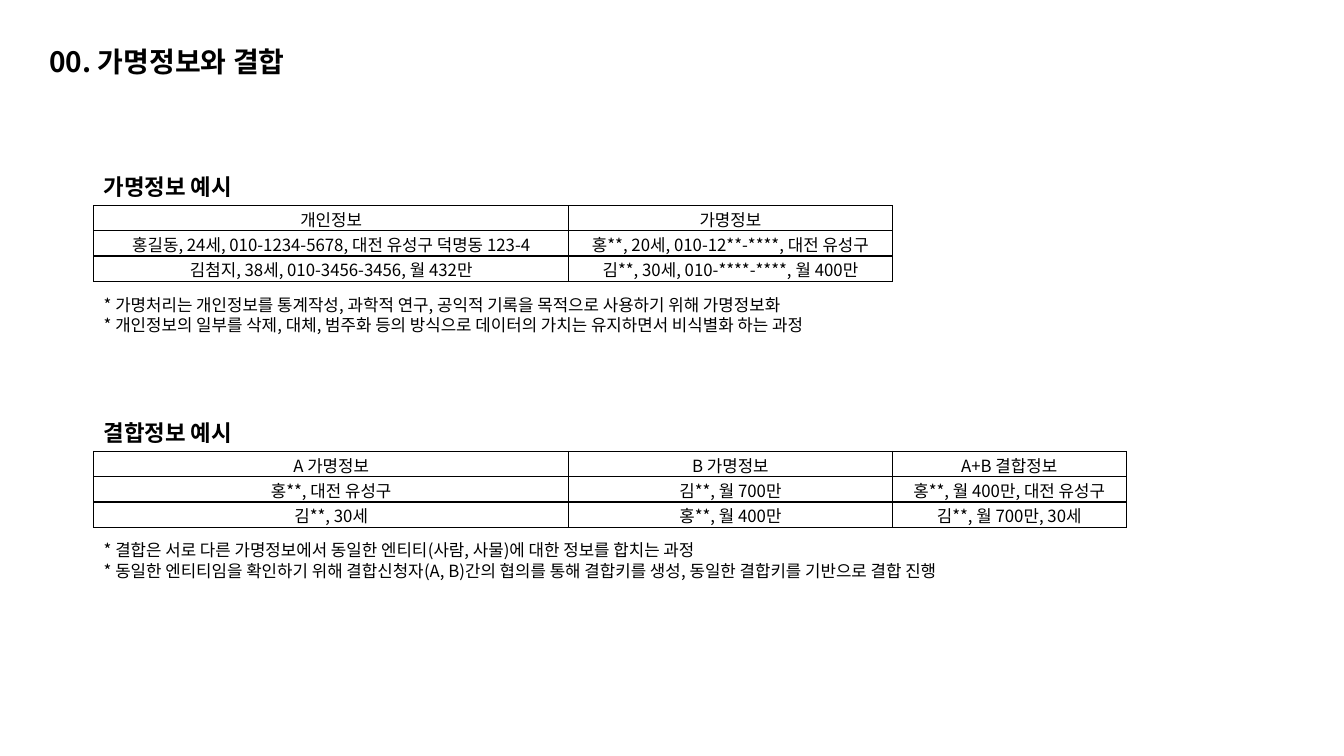
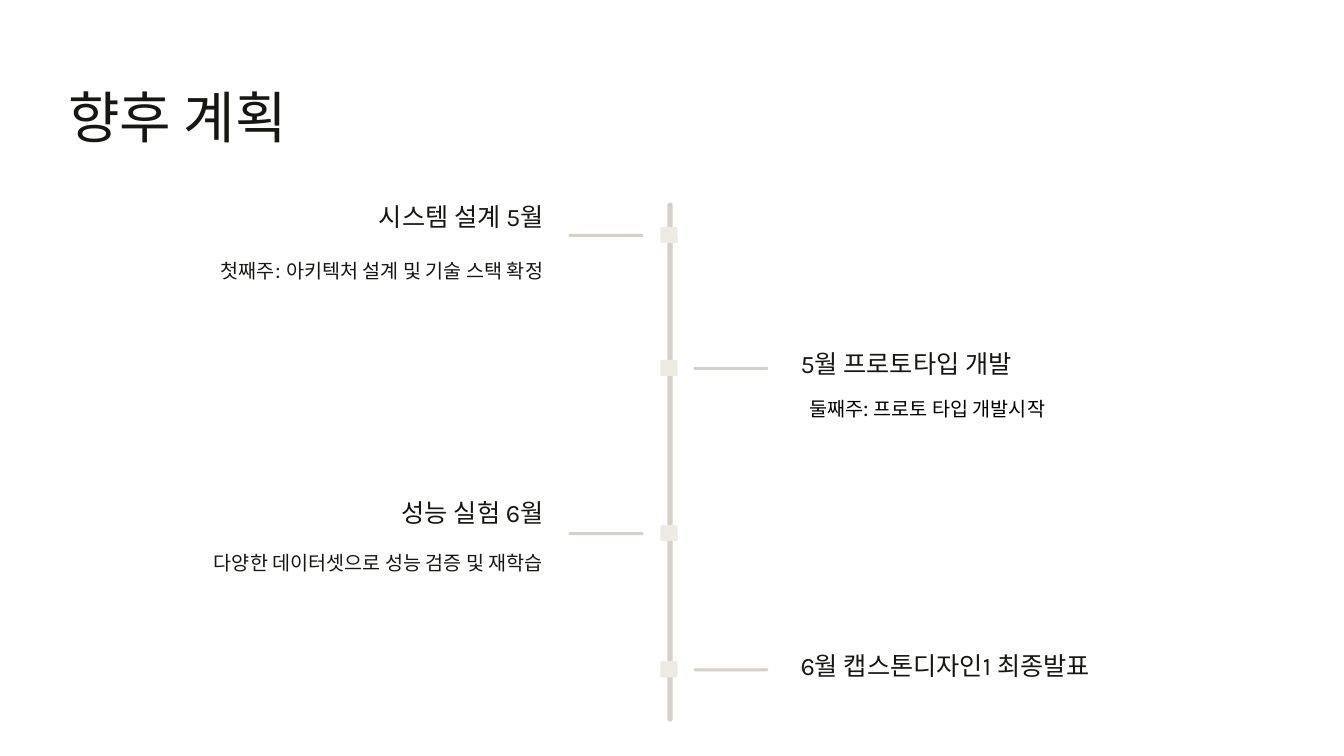
from lxml.etree import SubElement
from pptx import Presentation
from pptx.dml.color import RGBColor
from pptx.enum.shapes import MSO_SHAPE
from pptx.enum.text import MSO_ANCHOR, PP_ALIGN
from pptx.oxml import parse_xml
from pptx.oxml.ns import nsdecls, qn
from pptx.util import Inches, Pt

COLORS = {"black": "000000", "ink": "161613", "rail": "D3D1C9", "dot": "EDEBE3"}
KOREAN = "Noto Sans CJK KR"
# font, size, bold, colour, line spacing in points
STYLES = {
    "title": (KOREAN, 20, True, "black", None),
    "heading": (KOREAN, 16, True, "black", None),
    "body": (KOREAN, 12, False, "black", None),
    "plan": ("Karla", 40, False, "ink", 55.5),
    "stage": ("Karla", 18, False, "ink", 27.5),
    "detail": ("Inter", 14, False, "ink", 28.5),
    "detail_black": (KOREAN, 14, False, "black", 28.5),
}

COLS = [4.71, 3.21, 2.32]
ROW_H = 0.25
LEFT = 0.93
SECTIONS = [
    {
        "top": 1.67,
        "heading": "가명정보 예시",
        "rows": [
            ("개인정보", "가명정보"),
            ("홍길동, 24세, 010-1234-5678, 대전 유성구 덕명동 123-4",
             "홍**, 20세, 010-12**-****, 대전 유성구"),
            ("김첨지, 38세, 010-3456-3456, 월 432만",
             "김**, 30세, 010-****-****, 월 400만"),
        ],
        "notes": [
            "* 가명처리는 개인정보를 통계작성, 과학적 연구, 공익적 기록을 목적으로 사용하기 위해 가명정보화",
            "* 개인정보의 일부를 삭제, 대체, 범주화 등의 방식으로 데이터의 가치는 유지하면서 비식별화 하는 과정",
        ],
    },
    {
        "top": 4.11,
        "heading": "결합정보 예시",
        "rows": [
            ("A 가명정보", "B 가명정보", "A+B 결합정보"),
            ("홍**, 대전 유성구", "김**, 월 700만", "홍**, 월 400만, 대전 유성구"),
            ("김**, 30세", "홍**, 월 400만", "김**, 월 700만, 30세"),
        ],
        "notes": [
            "* 결합은 서로 다른 가명정보에서 동일한 엔티티(사람, 사물)에 대한 정보를 합치는 과정",
            "* 동일한 엔티티임을 확인하기 위해 결합신청자(A, B)간의 협의를 통해 결합키를 생성, 동일한 결합키를 기반으로 결합 진행",
        ],
    },
]

# side, dot top, stage top, stage, detail top, detail, detail style
STAGES = [
    ("left", 2.25, 1.92, "시스템 설계 5월",
     2.41, "첫째주: 아키텍처 설계 및 기술 스택 확정", "detail"),
    ("right", 3.57, 3.37, "5월 프로토타입 개발",
     3.78, "둘째주: 프로토 타입 개발시작", "detail_black"),
    ("left", 5.21, 4.85, "성능 실험 6월",
     5.3, "다양한 데이터셋으로 성능 검증 및 재학습", "detail"),
    ("right", 6.56, 6.37, "6월 캡스톤디자인1 최종발표", None, None, None),
]
# tick left, stage left, detail left, alignment
SIDES = {
    "left": (5.64, 1.89, 1.89, PP_ALIGN.RIGHT),
    "right": (6.88, 7.94, 8.03, PP_ALIGN.LEFT),
}
TEXT_W = 3.5


def color(name):
    return RGBColor.from_string(COLORS[name])


def write(frame, lines, style, align=PP_ALIGN.LEFT):
    face, size, bold, ink, spacing = STYLES[style]
    for i, line in enumerate(lines):
        para = frame.add_paragraph() if i else frame.paragraphs[0]
        para.alignment = align
        if spacing:
            para.line_spacing = Pt(spacing)
        run = para.add_run()
        run.text = line
        font = run.font
        font.name, font.size, font.bold = face, Pt(size), bold
        font.color.rgb = color(ink)
        SubElement(font._element, qn("a:ea")).set("typeface", KOREAN)


def add_text(slide, box, lines, style, align=PP_ALIGN.LEFT, inset=True):
    frame = slide.shapes.add_textbox(*map(Inches, box)).text_frame
    frame.word_wrap = True
    if not inset:
        frame.margin_left = frame.margin_right = 0
        frame.margin_top = frame.margin_bottom = 0
    write(frame, lines, style, align)


def add_bar(slide, box, fill, round_by=0.5):
    bar = slide.shapes.add_shape(MSO_SHAPE.ROUNDED_RECTANGLE, *map(Inches, box))
    bar.adjustments[0] = round_by
    bar.shadow.inherit = False
    bar.fill.solid()
    bar.fill.fore_color.rgb = color(fill)
    bar.line.fill.background()


def add_borders(cell):
    props = cell._tc.get_or_add_tcPr()
    for i, side in enumerate("LRTB"):
        props.insert(i, parse_xml(
            f'<a:ln{side} {nsdecls("a")} w="{Pt(1)}"><a:solidFill>'
            f'<a:srgbClr val="{COLORS["black"]}"/></a:solidFill></a:ln{side}>'))


def add_grid(slide, top, rows):
    widths = COLS[:len(rows[0])]
    box = LEFT, top, sum(widths), ROW_H * len(rows)
    table = slide.shapes.add_table(len(rows), len(widths), *map(Inches, box)).table
    table.first_row = table.horz_banding = False
    for col, width in zip(table.columns, widths):
        col.width = Inches(width)
    for r, row in enumerate(rows):
        table.rows[r].height = Inches(ROW_H)
        for c, text in enumerate(row):
            cell = table.cell(r, c)
            cell.fill.background()
            cell.vertical_anchor = MSO_ANCHOR.MIDDLE
            cell.margin_left = cell.margin_right = cell.margin_top = Inches(0.01)
            cell.margin_bottom = 0
            write(cell.text_frame, [text], "body", PP_ALIGN.CENTER)
            add_borders(cell)


def add_examples(slide):
    add_text(slide, (0.39, 0.39, 6, 0.44), ["00. 가명정보와 결합"], "title")
    for part in SECTIONS:
        top = part["top"]
        add_text(slide, (LEFT, top, 4, 0.37), [part["heading"]], "heading")
        add_grid(slide, top + 0.37, part["rows"])
        add_text(slide, (LEFT, top + 1.2, 10, 0.5), part["notes"], "body")


def add_timeline(slide):
    add_text(slide, (0.68, 0.71, 6.2, 0.78), ["향후 계획"], "plan", inset=False)
    add_bar(slide, (6.62, 2.01, 0.05, 5.15), "rail")
    for side, dot, top, stage, low, detail, style in STAGES:
        tick_x, stage_x, detail_x, align = SIDES[side]
        add_bar(slide, (tick_x, dot + 0.07, 0.74, 0.03), "rail")
        add_bar(slide, (6.55, dot, 0.17, 0.16), "dot", 0.07)
        add_text(slide, (stage_x, top, TEXT_W, 0.39), [stage], "stage", align, False)
        if detail:
            add_text(slide, (detail_x, low, TEXT_W, 0.4), [detail], style, align, False)


def main():
    deck = Presentation()
    deck.slide_width, deck.slide_height = Inches(13.33), Inches(7.5)
    for build in (add_examples, add_timeline):
        build(deck.slides.add_slide(deck.slide_layouts[6]))
    deck.save("out.pptx")


if __name__ == "__main__":
    main()
